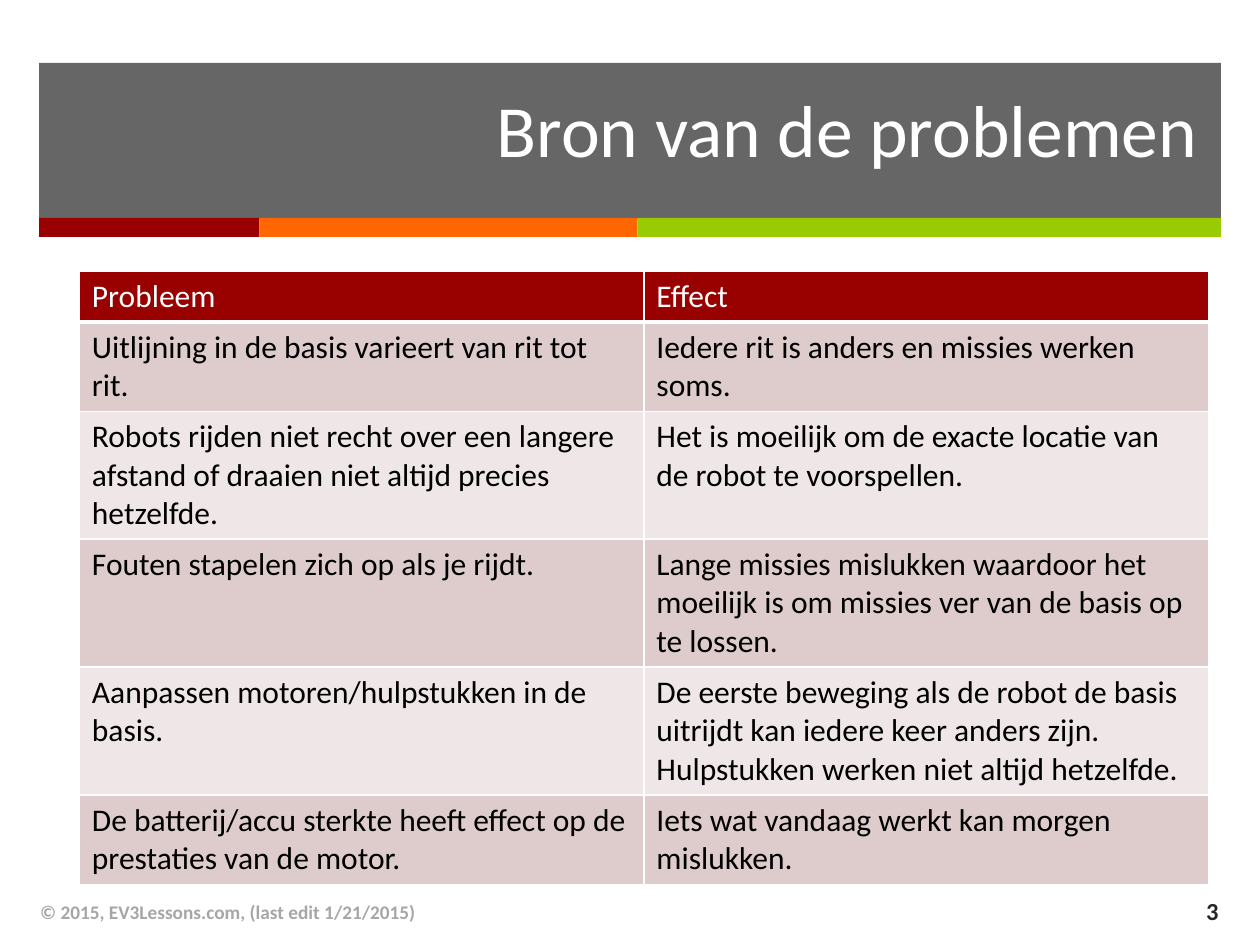
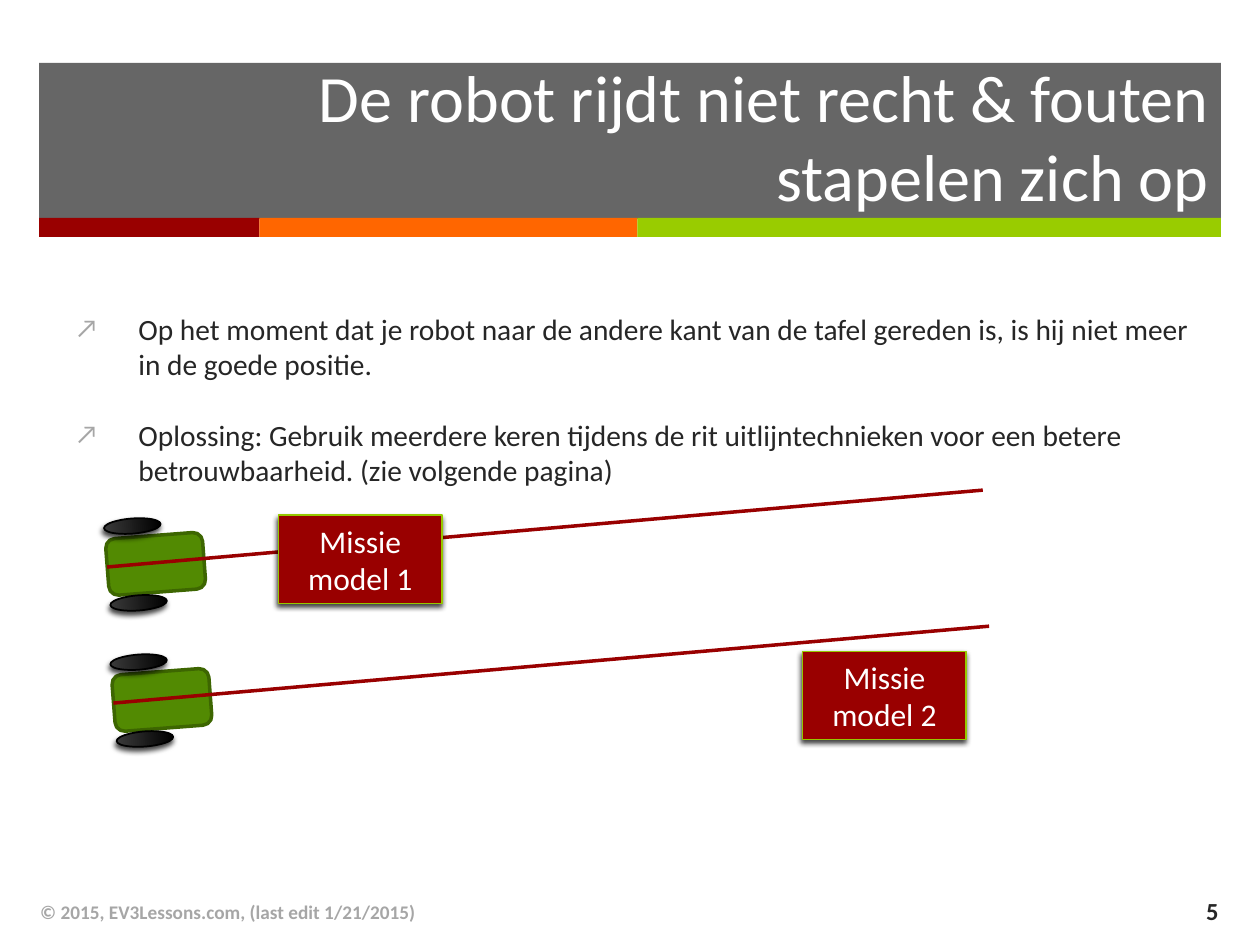
import pptx
import pptx.util
import pptx.dml.color
import pptx.enum.shapes
import pptx.enum.text
import pptx.oxml
import pptx.oxml.ns
from lxml import etree

Inches = pptx.util.Inches
SHAPE = pptx.enum.shapes.MSO_SHAPE
ALIGN = pptx.enum.text.PP_ALIGN
ANCHOR = pptx.enum.text.MSO_ANCHOR

COLORS = {
    "white": "FFFFFF", "black": "000000", "dark": "262626", "muted": "A6A6A6",
    "red": "990000", "orange": "FF6600", "lime": "99CC00", "model_line": "96C800",
    "row_odd": "DECCCC", "row_even": "EFE7E7",
    "robot": "528A02", "robot_line": "3D6601", "wheel": "3B3B3B",
}
FONT = "Calibri"
BAND = (0.31, 0.5, 9.38, 1.24)
STRIPES = [("red", 1.75), ("orange", 3), ("lime", 4.63)]
COPYRIGHT = "© 2015, EV3Lessons.com, (last edit 1/21/2015)"

PROBLEMS = [
    ("Probleem", "Effect", 1),
    ("Uitlijning in de basis varieert van rit tot rit.",
     "Iedere rit is anders en missies werken soms.", 2),
    ("Robots rijden niet recht over een langere afstand of draaien niet altijd precies hetzelfde.",
     "Het is moeilijk om de exacte locatie van de robot te voorspellen.", 3),
    ("Fouten stapelen zich op als je rijdt.",
     "Lange missies mislukken waardoor het moeilijk is om missies ver van de basis op te lossen.", 3),
    ("Aanpassen motoren/hulpstukken in de basis.",
     "De eerste beweging als de robot de basis uitrijdt kan iedere keer anders zijn.\n"
     "Hulpstukken werken niet altijd hetzelfde.", 3),
    ("De batterij/accu sterkte heeft effect op de prestaties van de motor.",
     "Iets wat vandaag werkt kan morgen mislukken.", 2),
]
DRIFT_POINTS = (
    "Op het moment dat je robot naar de andere kant van de tafel gereden is, "
    "is hij niet meer in de goede positie.\n"
    "Oplossing: Gebruik meerdere keren tijdens de rit uitlijntechnieken voor een "
    "betere betrouwbaarheid. (zie volgende pagina)"
)


def rgb(name):
    return pptx.dml.color.RGBColor.from_string(COLORS[name])


def add_xml(parent, tag, **attributes):
    child = etree.SubElement(parent, pptx.oxml.ns.qn(tag))
    for key, value in attributes.items():
        child.set(key, str(value))
    return child


def add_bullet(para, symbol):
    properties = para._p.get_or_add_pPr()
    properties.set("marL", str(Inches(0.5)))
    properties.set("indent", str(-Inches(0.5)))
    color = add_xml(properties, "a:buClr")
    add_xml(color, "a:srgbClr", val=COLORS["muted"])
    add_xml(properties, "a:buSzPct", val=90000)
    add_xml(properties, "a:buFont", typeface=FONT)
    add_xml(properties, "a:buChar", char=symbol)


def write_text(frame, text, size=18, color="black", bold=False, align=ALIGN.LEFT,
               bullet=None, gap=0):
    frame.word_wrap = True
    for index, line in enumerate(text.split("\n")):
        para = frame.paragraphs[0] if index == 0 else frame.add_paragraph()
        para.alignment = align
        if index and gap:
            para.space_before = pptx.util.Pt(gap)
        if bullet:
            add_bullet(para, bullet)
        span = para.add_run()
        span.text = line
        span.font.name = FONT
        span.font.size = pptx.util.Pt(size)
        span.font.bold = bold
        span.font.color.rgb = rgb(color)


def add_text(page, box, text, anchor=ANCHOR.MIDDLE, **text_format):
    frame = page.shapes.add_textbox(*map(Inches, box)).text_frame
    frame.vertical_anchor = anchor
    write_text(frame, text, **text_format)


def add_box(shapes, kind, box, fill, line=None, width=1):
    shape = shapes.add_shape(kind, *map(Inches, box))
    shape.shadow.inherit = False
    shape.fill.solid()
    shape.fill.fore_color.rgb = rgb(fill)
    if line:
        shape.line.color.rgb = rgb(line)
        shape.line.width = pptx.util.Pt(width)
    else:
        shape.line.fill.background()
    return shape


def add_shadow(shape):
    effects = shape._element.spPr.find(pptx.oxml.ns.qn("a:effectLst"))
    shadow = add_xml(effects, "a:outerShdw", blurRad=pptx.util.Pt(3),
                     dist=pptx.util.Pt(2), dir=110 * 60000, rotWithShape=0)
    color = add_xml(shadow, "a:srgbClr", val=COLORS["black"])
    add_xml(color, "a:alpha", val=75000)


def add_page(deck, number, title, title_box, title_size):
    page = deck.slides.add_slide(deck.slide_layouts[6])
    band = add_box(page.shapes, SHAPE.RECTANGLE, BAND, "dark")
    fill_color = band._element.spPr.find(".//" + pptx.oxml.ns.qn("a:srgbClr"))
    add_xml(fill_color, "a:alpha", val=70000)
    left = BAND[0]
    for color, width in STRIPES:
        add_box(page.shapes, SHAPE.RECTANGLE, (left, 1.73, width, 0.15), color)
        left += width
    add_text(page, title_box, title, size=title_size, color="white", align=ALIGN.RIGHT)
    add_text(page, (0.22, 7.04, 6.7, 0.4), COPYRIGHT, size=11, color="muted", bold=True)
    add_text(page, (9.08, 7.03, 0.69, 0.39), str(number), size=14, color="dark",
             bold=True, align=ALIGN.RIGHT)
    return page


def add_cell_borders(cell, bottom):
    properties = cell._tc.get_or_add_tcPr()
    sides = [("a:lnL", 1), ("a:lnR", 1), ("a:lnT", 1), ("a:lnB", bottom)]
    for index, (tag, width) in enumerate(sides):
        border = add_xml(properties, tag, w=pptx.util.Pt(width))
        fill = add_xml(border, "a:solidFill")
        add_xml(fill, "a:srgbClr", val=COLORS["white"])
        properties.insert(index, border)


def add_problem_table(page, box):
    table = page.shapes.add_table(len(PROBLEMS), 2, *map(Inches, box)).table
    for column in table.columns:
        column.width = Inches(box[2] / 2)
    for row, (problem, effect, lines) in enumerate(PROBLEMS):
        table.rows[row].height = Inches(0.1 + 0.305 * lines)
        header = row == 0
        fill = "red" if header else ("row_odd" if row % 2 else "row_even")
        for column, text in enumerate((problem, effect)):
            cell = table.cell(row, column)
            cell.fill.solid()
            cell.fill.fore_color.rgb = rgb(fill)
            add_cell_borders(cell, bottom=3 if header else 1)
            write_text(cell.text_frame, text, color="white" if header else "black")


def add_robot(page, left, top):
    group = page.shapes.add_group_shape()
    body = add_box(group.shapes, SHAPE.ROUNDED_RECTANGLE,
                   (left + 0.16, top + 0.2, 0.45, 0.77), "robot", "robot_line", 2)
    body.rotation = 85.6
    for wheel_left, wheel_top in ((0.14, 0.06), (0.19, 0.67)):
        wheel = add_box(group.shapes, SHAPE.OVAL,
                        (left + wheel_left, top + wheel_top, 0.12, 0.45), "wheel", "black")
        wheel.rotation = 85.6
        wheel.fill.gradient()
        wheel.fill.gradient_angle = 90
        for stop, color in zip(wheel.fill.gradient_stops, ("wheel", "black")):
            stop.color.rgb = rgb(color)
        add_shadow(wheel)


def add_route(page, left, top):
    ends = (left, top + 0.61, left + 6.95, top)
    route = page.shapes.add_connector(pptx.enum.shapes.MSO_CONNECTOR.STRAIGHT,
                                      *map(Inches, ends))
    route.line.color.rgb = rgb("red")
    route.line.width = pptx.util.Pt(2)
    add_xml(route._element.spPr, "a:effectLst")


def add_mission(page, box, model_left, label):
    left, top = box
    add_robot(page, left, top)
    add_route(page, left, top)
    model = add_box(page.shapes, SHAPE.RECTANGLE, (left + model_left, top + 0.2, 1.3, 0.7),
                    "red", "model_line")
    add_shadow(model)
    model.text_frame.vertical_anchor = ANCHOR.MIDDLE
    write_text(model.text_frame, label, color="white", align=ALIGN.CENTER)


def build_problem_page(deck):
    page = add_page(deck, 3, "Bron van de problemen", (2.38, 0.57, 7.22, 0.9), 42)
    add_problem_table(page, (0.63, 2.15, 8.96, 4.81))


def build_drift_page(deck):
    page = add_page(deck, 5, "De robot rijdt niet recht & fouten stapelen zich op",
                    (0.5, 0.53, 9.19, 1.09), 37.8)
    add_text(page, (0.5, 2.42, 9.19, 1.29), DRIFT_POINTS, anchor=ANCHOR.TOP,
             size=16.8, color="dark", bullet="↗", gap=20)
    add_mission(page, (0.85, 3.89), 1.36, "Missie model 1")
    add_mission(page, (0.9, 4.97), 5.47, "Missie model 2")


def main():
    deck = pptx.Presentation()
    deck.slide_width = Inches(10)
    deck.slide_height = Inches(7.5)
    build_problem_page(deck)
    build_drift_page(deck)
    deck.save("out.pptx")


if __name__ == "__main__":
    main()
